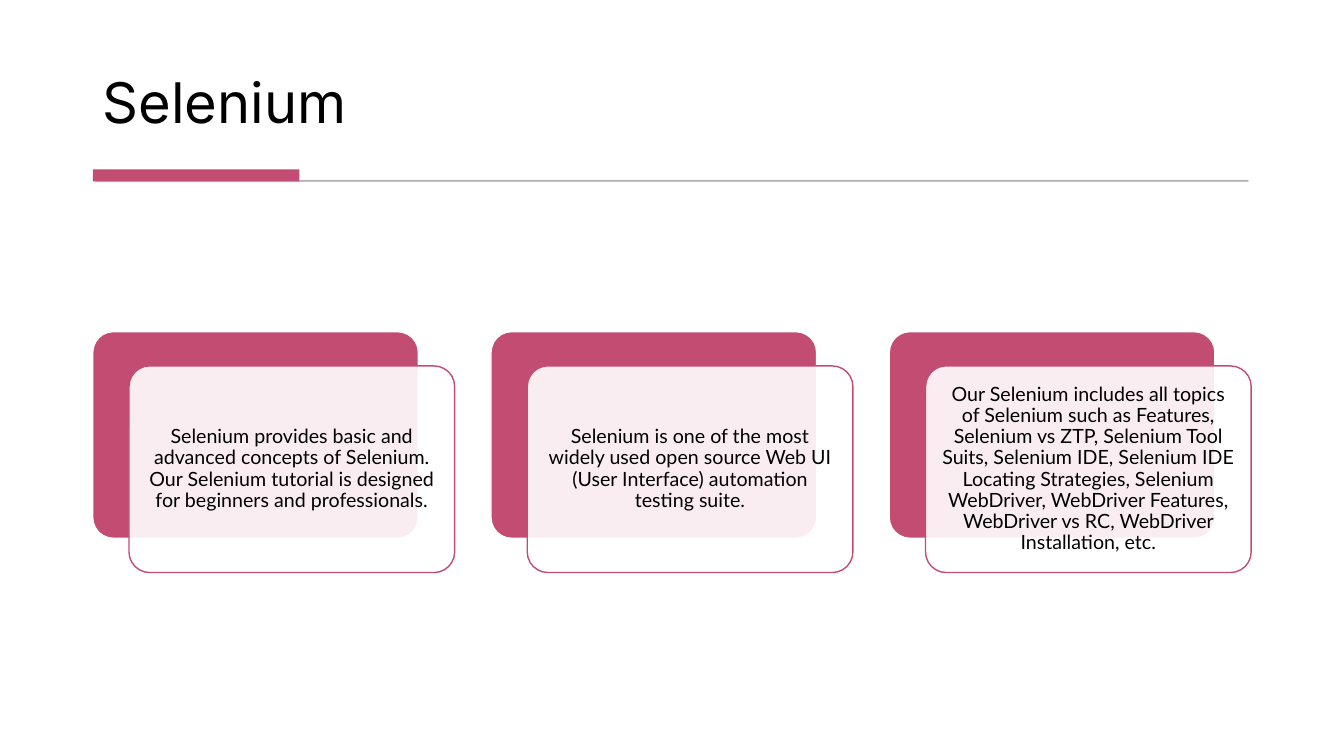
from lxml import etree
from pptx import Presentation, util as u
from pptx.dml.color import RGBColor
from pptx.enum import shapes, text
from pptx.oxml import ns

PINK, WHITE, GREY, BLACK = "C34D72", "FFFFFF", "595959", "000000"

deck = Presentation()
deck.slide_width, deck.slide_height = u.Inches(13.33), u.Inches(7.5)
slide = deck.slides.add_slide(deck.slide_layouts[6])


def paint(fill, color, opacity=100):
    fill.solid()
    fill.fore_color.rgb = RGBColor.from_string(color)
    if opacity < 100:
        for rgb in fill._xPr.iter(ns.qn("a:srgbClr")):
            etree.SubElement(rgb, ns.qn("a:alpha"), val=str(opacity * 1000))


def add_block(kind, left, top, width, height, fill, line=None, line_width=1, opacity=100, line_opacity=100):
    block = slide.shapes.add_shape(kind, *map(u.Inches, (left, top, width, height)))
    block.shadow.inherit = False
    paint(block.fill, fill, opacity)
    if line:
        block.line.width = u.Pt(line_width)
        paint(block.line.fill, line, line_opacity)
    else:
        block.line.fill.background()
    return block


# Title
margin = 0.92
heading = slide.shapes.add_textbox(*map(u.Inches, (margin, 0.28, 11.49, 1.11))).text_frame
heading.word_wrap = True
heading.vertical_anchor = text.MSO_ANCHOR.BOTTOM
heading.paragraphs[0].line_spacing = 0.9
title = heading.paragraphs[0].add_run()
title.text = "Selenium"
title.font.name, title.font.size = "Inter", u.Pt(40)
paint(title.font.fill, BLACK)

# Rule and accent bar under the title
add_block(shapes.MSO_SHAPE.RECTANGLE, 0.95, 1.79, 11.43, 0.01, GREY, GREY, 0.75, 30, 30)
add_block(shapes.MSO_SHAPE.RECTANGLE, margin, 1.68, 2.05, 0.12, PINK)

# Three cards, each a white panel offset over a pink one
card_top, card_width, card_height, column_step = 3.29, 3.23, 2.05, 3.95
offset_x, offset_y = 0.36, 0.34
statements = [
    "Selenium provides basic and advanced concepts of Selenium. "
    "Our Selenium tutorial is designed for beginners and professionals.",
    "Selenium is one of the most widely used open source Web UI (User Interface) "
    "automation testing suite.",
    "Our Selenium includes all topics of Selenium such as Features, Selenium vs ZTP, "
    "Selenium Tool Suits, Selenium IDE, Selenium IDE Locating Strategies, "
    "Selenium WebDriver, WebDriver Features, WebDriver vs RC, WebDriver Installation, etc.",
]
for column, statement in enumerate(statements):
    left = margin + column * column_step
    backing = add_block(shapes.MSO_SHAPE.ROUNDED_RECTANGLE, left, card_top,
                        card_width, card_height, PINK, WHITE)
    panel = add_block(shapes.MSO_SHAPE.ROUNDED_RECTANGLE, left + offset_x, card_top + offset_y,
                      card_width, card_height, WHITE, PINK, opacity=90)
    for card in (backing, panel):
        card.adjustments[0] = 0.1

    body = panel.text_frame
    body.word_wrap = True
    body.vertical_anchor = text.MSO_ANCHOR.MIDDLE
    body.margin_left = body.margin_right = u.Inches(0.1)
    body.margin_top = body.margin_bottom = u.Inches(0.1)
    paragraph = body.paragraphs[0]
    paragraph.alignment = text.PP_ALIGN.CENTER
    paragraph.line_spacing = 0.9
    sentence = paragraph.add_run()
    sentence.text = statement
    sentence.font.name, sentence.font.size = "Lato", u.Pt(14)
    paint(sentence.font.fill, BLACK)

deck.save("out.pptx")
